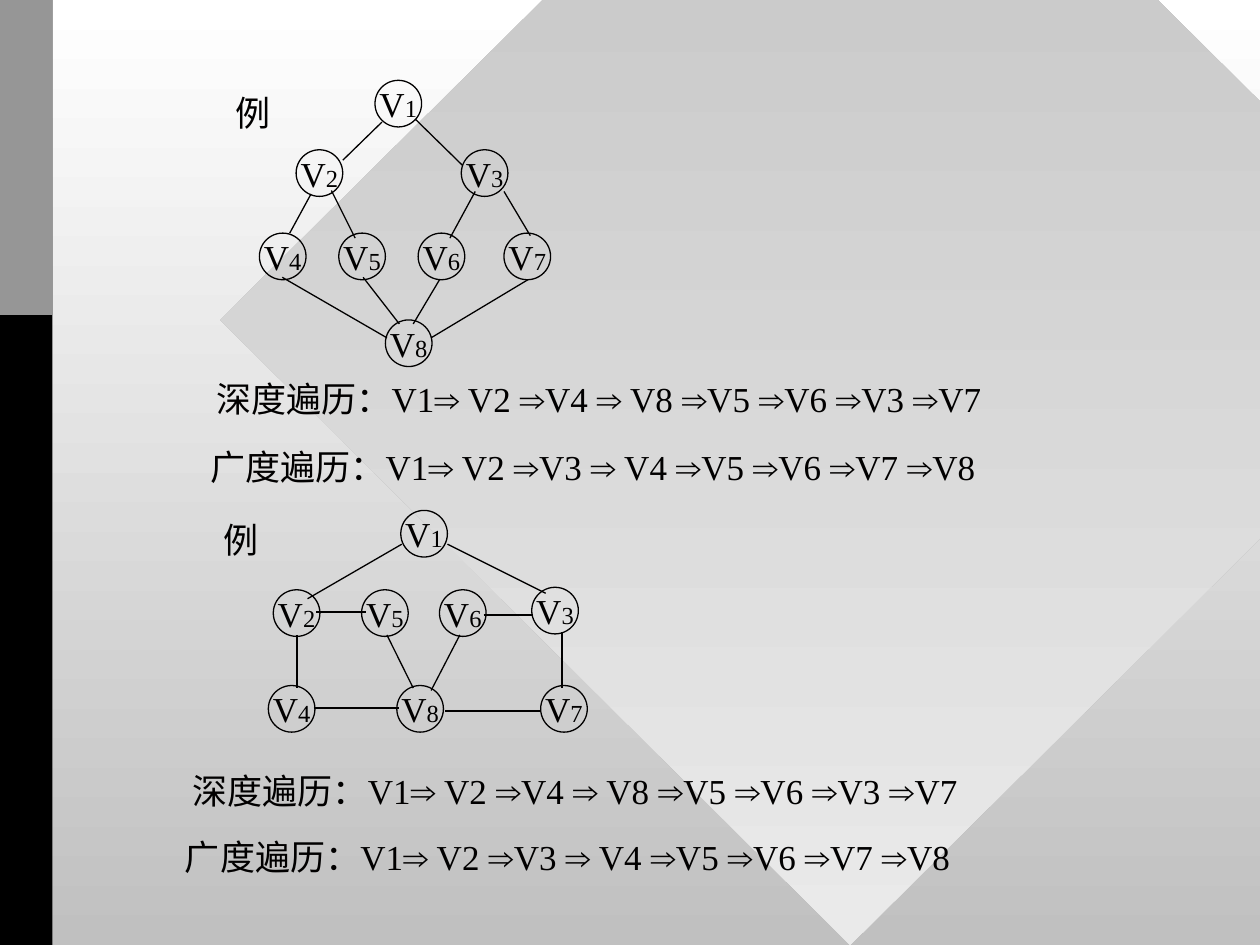
"""Build a slide with two graphs and their depth-first and breadth-first orders."""
from dataclasses import dataclass

from lxml import etree
from pptx import Presentation
from pptx.dml import color, fill
from pptx.enum import shapes as kinds, text as txt
from pptx.oxml import ns
from pptx.util import Cm, Pt

INK = "010000"
SERIF = "Times New Roman"
SIDE = 0.94
ARROW = "⇒"
DEPTH = "深度遍历：V1⇒ V2 ⇒V4 ⇒ V8 ⇒V5 ⇒V6 ⇒V3 ⇒V7"
BREADTH = "广度遍历：V1⇒ V2 ⇒V3 ⇒ V4 ⇒V5 ⇒V6 ⇒V7 ⇒V8"


@dataclass
class Node:
    num: int
    left: float
    top: float


@dataclass
class Edge:
    x1: float
    y1: float
    x2: float
    y2: float


@dataclass
class Graph:
    label: tuple[float, float]
    nodes: list[Node]
    edges: list[Edge]


@dataclass
class Route:
    left: float
    top: float
    words: str


GRAPHS = [
    Graph(
        (4.5, 1.7),
        [Node(1, 7.56, 1.62), Node(2, 5.97, 3.02), Node(3, 9.3, 3.02),
         Node(4, 5.23, 4.7), Node(5, 6.83, 4.7), Node(6, 8.43, 4.7),
         Node(7, 10.16, 4.7), Node(8, 7.77, 6.45)],
        [Edge(7.7, 2.46, 6.91, 3.23), Edge(8.38, 2.41, 9.32, 3.33),
         Edge(6.27, 3.91, 5.84, 4.7), Edge(6.68, 3.84, 7.16, 4.8),
         Edge(9.58, 3.86, 9.07, 4.8), Edge(10.16, 3.86, 10.69, 4.75),
         Edge(7.32, 5.59, 8.05, 6.53), Edge(8.86, 5.64, 8.33, 6.53),
         Edge(5.69, 5.59, 7.8, 6.81), Edge(10.64, 5.64, 8.69, 6.81)],
    ),
    Graph(
        (4.24, 10.31),
        [Node(1, 8.08, 10.29), Node(2, 5.51, 11.89), Node(3, 10.72, 11.84),
         Node(4, 5.41, 13.82), Node(5, 7.29, 11.89), Node(6, 8.86, 11.89),
         Node(7, 10.9, 13.82), Node(8, 8, 13.82)],
        [Edge(8.1, 10.97, 6.2, 12.07), Edge(9.02, 10.97, 11, 11.96),
         Edge(6.38, 12.34, 7.37, 12.34), Edge(9.75, 12.4, 10.74, 12.4),
         Edge(5.99, 12.8, 5.99, 13.87), Edge(6.32, 14.27, 8.05, 14.27),
         Edge(8.97, 14.33, 10.9, 14.33), Edge(11.33, 12.75, 11.33, 13.87),
         Edge(7.8, 12.8, 8.33, 13.87), Edge(9.27, 12.8, 8.69, 13.92)],
    ),
]
ROUTES = [Route(3.99, 8.86, BREADTH), Route(3.48, 16.71, BREADTH),
          Route(4.11, 7.49, DEPTH), Route(3.63, 15.39, DEPTH)]


def rgb(code: str) -> color.RGBColor:
    return color.RGBColor.from_string(code)


def fade(area: fill.FillFormat, top: str, base: str) -> None:
    area.gradient()
    area.gradient_angle = 270
    for stop, code in zip(area.gradient_stops, (top, base)):
        stop.color.rgb = rgb(code)


def shape(parent, kind, left: float, top: float, width: float, height: float):
    item = parent.add_shape(kind, Cm(left), Cm(top), Cm(width), Cm(height))
    item.shadow.inherit = False
    item.line.fill.background()
    return item


def bar(parent, height: float, code: str) -> None:
    item = shape(parent, kinds.MSO_SHAPE.RECTANGLE, 0, 0, 1.06, height)
    item.fill.solid()
    item.fill.fore_color.rgb = rgb(code)


def stroke(line) -> None:
    line.color.rgb = rgb(INK)
    line.width = Pt(0.75)


def style(para, size: float | None = 20, name: str | None = SERIF) -> None:
    para.font.color.rgb = rgb(INK)
    para.font.name = name
    if size:
        para.font.size = Pt(size)


def draw_node(parent, node: Node) -> None:
    item = shape(parent, kinds.MSO_SHAPE.OVAL, node.left, node.top, SIDE, SIDE)
    item.fill.background()
    stroke(item.line)
    frame = item.text_frame
    frame.word_wrap = False
    frame.vertical_anchor = txt.MSO_ANCHOR.MIDDLE
    para = frame.paragraphs[0]
    para.alignment = txt.PP_ALIGN.CENTER
    style(para, size=None)
    for word, size in (("V", 20), (str(node.num), 14)):
        run = para.add_run()
        run.text = word
        run.font.size = Pt(size)


def draw_edge(parent, edge: Edge) -> None:
    line = parent.add_connector(kinds.MSO_CONNECTOR.STRAIGHT, Cm(edge.x1),
                                Cm(edge.y1), Cm(edge.x2), Cm(edge.y2))
    stroke(line.line)
    etree.SubElement(line._element.spPr, ns.qn("a:effectLst"))


def text_box(parent, left: float, top: float, width: float):
    box = parent.add_textbox(Cm(left), Cm(top), Cm(width), Cm(1.12))
    frame = box.text_frame
    frame.word_wrap = False
    frame.auto_size = txt.MSO_AUTO_SIZE.SHAPE_TO_FIT_TEXT
    return frame


def draw_graph(parent, graph: Graph) -> None:
    group = parent.add_group_shape().shapes
    for node in graph.nodes:
        draw_node(group, node)
    for edge in graph.edges:
        draw_edge(group, edge)
    frame = text_box(group, *graph.label, 1.22)
    frame.vertical_anchor = txt.MSO_ANCHOR.MIDDLE
    para = frame.paragraphs[0]
    para.text = "例"
    para.alignment = txt.PP_ALIGN.CENTER
    style(para)


def draw_route(parent, route: Route) -> None:
    para = text_box(parent, route.left, route.top, 16.48).paragraphs[0]
    style(para, name=None)
    for pos, step in enumerate(route.words.split(ARROW)):
        pair = ((ARROW, "Arial"), (step, SERIF))
        for word, name in pair if pos else pair[1:]:
            run = para.add_run()
            run.text = word
            run.font.name = name


def main() -> None:
    deck = Presentation()
    deck.slide_width, deck.slide_height = Cm(25.4), Cm(19.05)
    slide = deck.slides.add_slide(deck.slide_layouts[6])
    fade(slide.background.fill, "FFFFFF", "C0C0C0")
    parent = slide.shapes
    gem = shape(parent, kinds.MSO_SHAPE.DIAMOND, 4.44, -6.15, 25.4, 25.2)
    fade(gem.fill, "C0C0C0", "EAEAEA")
    bar(parent, 19.05, "000000")
    bar(parent, 6.35, "969696")
    for graph in GRAPHS:
        draw_graph(parent, graph)
    for route in ROUTES:
        draw_route(parent, route)
    deck.save("out.pptx")


if __name__ == "__main__":
    main()
